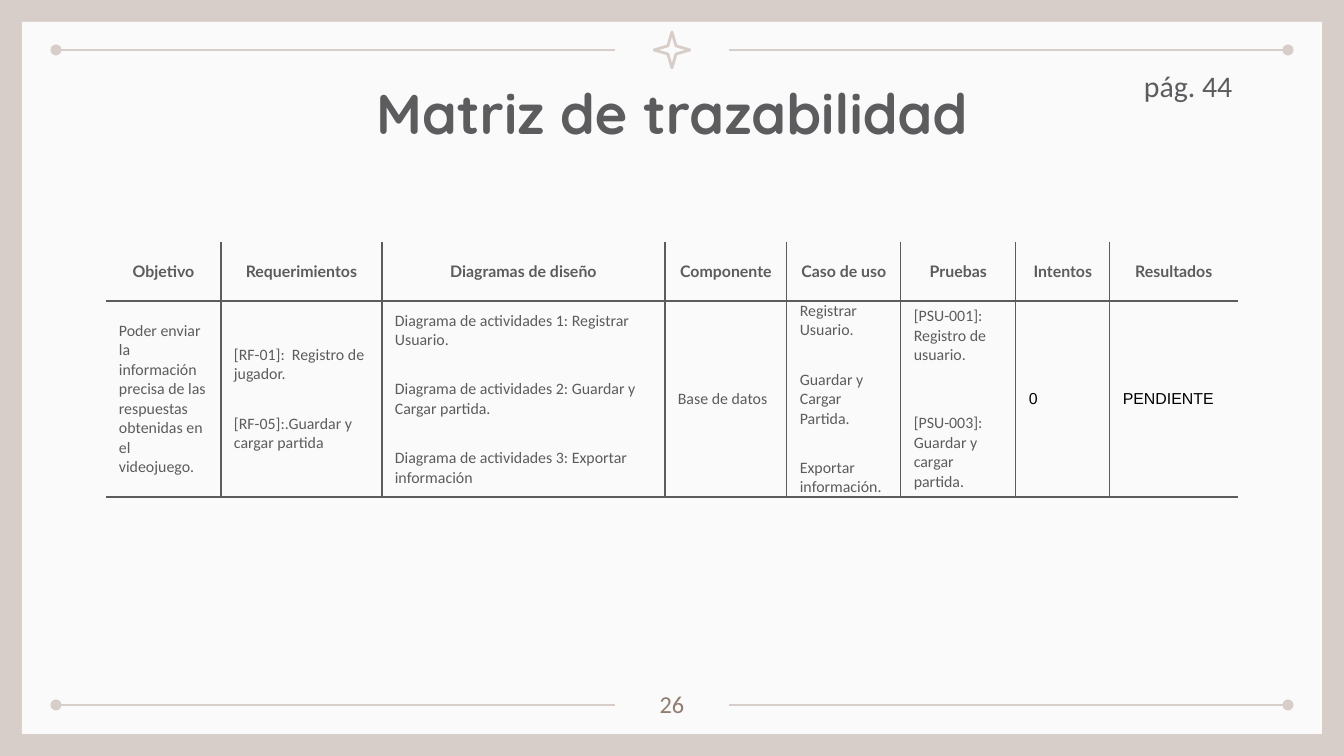
from lxml.etree import SubElement
from pptx import Presentation
from pptx.dml.color import RGBColor
from pptx.enum.shapes import MSO_CONNECTOR, MSO_SHAPE
from pptx.enum.text import MSO_ANCHOR, PP_ALIGN
from pptx.oxml.ns import qn
from pptx.util import Pt

SCALE = 9144000 / 1344
PANEL, FRAME, GREY, BROWN, BLACK = "FAFAFA", "D8CEC9", "5C5C5F", "927C71", "000000"

TITLE = dict(size=Pt(30), name="Quicksand", bold=True, color=GREY)
PAGE = dict(size=Pt(16), name="Calibri", bold=False, color=GREY)
NUMBER = dict(size=Pt(13), name="Calibri", bold=False, color=BROWN)
HEAD = dict(size=Pt(8.5), name="Lato", bold=True, color=GREY)
BODY = dict(size=Pt(8.5), name="Calibri", bold=False, color=GREY)
STATUS = dict(size=Pt(8.5), name="Arial", bold=False, color=BLACK)

# header, column width, cell paragraphs, format, gap between paragraphs in points
COLUMNS = [
    ("Objetivo", 115, ["Poder enviar la información precisa de las respuestas "
                       "obtenidas en el videojuego."], BODY, 16),
    ("Requerimientos", 161, ["[RF-01]:  Registro de jugador.",
                             "[RF-05]:.Guardar y cargar partida"], BODY, 16),
    ("Diagramas de diseño", 283, ["Diagrama de actividades 1: Registrar Usuario.",
                                  "Diagrama de actividades 2: Guardar y Cargar partida.",
                                  "Diagrama de actividades 3: Exportar información"], BODY, 16),
    ("Componente", 122, ["Base de datos"], BODY, 16),
    ("Caso de uso", 114, ["Registrar Usuario.", "Guardar y Cargar Partida.",
                          "Exportar información."], BODY, 16),
    ("Pruebas", 115, ["[PSU-001]: Registro de usuario.",
                      "[PSU-003]: Guardar y cargar partida."], BODY, 26),
    ("Intentos", 94, ["0"], STATUS, 16),
    ("Resultados", 128, ["PENDIENTE"], STATUS, 16),
]


def px(n):
    return round(n * SCALE)


def rgb(value):
    return RGBColor.from_string(value)


class Deck:
    def __init__(self, width, height):
        self.prs = Presentation()
        self.prs.slide_width, self.prs.slide_height = px(width), px(height)
        self.s = self.prs.slides.add_slide(self.prs.slide_layouts[5])
        fill = self.s.background.fill
        fill.solid()
        fill.fore_color.rgb = rgb(FRAME)

    def add_lines(self, tf, lines, fmt, align, gap=0):
        for i, line in enumerate(lines):
            p = tf.paragraphs[0] if i == 0 else tf.add_paragraph()
            p.alignment = align
            p.space_before = Pt(gap if i else 0)
            r = p.add_run()
            r.text = line
            for key, value in fmt.items():
                if key == "color":
                    r.font.color.rgb = rgb(value)
                else:
                    setattr(r.font, key, value)

    def fill_box(self, sp, box, text, fmt, align):
        sp.left, sp.top, sp.width, sp.height = map(px, box)
        tf = sp.text_frame
        tf.word_wrap = True
        tf.vertical_anchor = MSO_ANCHOR.TOP
        for side in ("left", "right", "top", "bottom"):
            setattr(tf, f"margin_{side}", px(13))
        self.add_lines(tf, [text], fmt, align)

    def title(self, box, text):
        sp = self.s.shapes.title
        self.s.shapes._spTree.append(sp._element)  # in front of the panel
        self.fill_box(sp, box, text, TITLE, PP_ALIGN.CENTER)

    def text(self, box, text, fmt, align):
        sp = self.s.shapes.add_textbox(*map(px, box))
        self.fill_box(sp, box, text, fmt, align)

    def shape(self, kind, box, fill=None, line=None):
        sp = self.s.shapes.add_shape(kind, *map(px, box))
        sp.shadow.inherit = False
        for part, color in ((sp.fill, fill), (sp.line.fill, line)):
            if color:
                part.solid()
                part.fore_color.rgb = rgb(color)
            else:
                part.background()
        if line:
            sp.line.width = Pt(1.5)
        return sp

    def rule(self, x1, x2, y, dot):
        """Horizontal line; dot names the end that carries the oval."""
        c = self.s.shapes.add_connector(MSO_CONNECTOR.STRAIGHT, px(x1), px(y), px(x2), px(y))
        c.line.color.rgb = rgb(FRAME)
        c.line.width = Pt(1.5)
        SubElement(c.line._get_or_add_ln(), qn(f"a:{dot}"), type="oval")
        SubElement(c._element.spPr, qn("a:effectLst"))

    def borders(self, cell, sides):
        """Draw the named sides (L, R, T, B) and clear the others."""
        tc_pr = cell._tc.get_or_add_tcPr()
        for i, side in enumerate("LRTB"):
            ln = SubElement(tc_pr, qn(f"a:ln{side}"), w=str(Pt(0.75)))
            tc_pr.insert(i, ln)
            if side in sides:
                SubElement(SubElement(ln, qn("a:solidFill")), qn("a:srgbClr"), val=GREY)
            else:
                SubElement(ln, qn("a:noFill"))

    def table(self, left, top, heights, columns):
        width = sum(column[1] for column in columns)
        frame = self.s.shapes.add_table(len(heights), len(columns), px(left), px(top),
                                        px(width), px(sum(heights)))
        table = frame.table
        table.first_row = table.horz_banding = False
        for row, height in zip(table.rows, heights):
            row.height = px(height)
        for i, (header, width, lines, fmt, gap) in enumerate(columns):
            table.columns[i].width = px(width)
            inner = ("L" if i else "") + ("R" if i < len(columns) - 1 else "")
            rows = [([header], HEAD, PP_ALIGN.CENTER, inner + "B"),
                    (lines, fmt, PP_ALIGN.LEFT, inner + "TB")]
            for j, (content, style, align, sides) in enumerate(rows):
                cell = table.cell(j, i)
                cell.fill.background()
                cell.vertical_anchor = MSO_ANCHOR.MIDDLE
                cell.margin_left = cell.margin_right = px(13)
                cell.margin_top = cell.margin_bottom = 0
                self.borders(cell, sides)
                self.add_lines(cell.text_frame, content, style, align, gap)


def main():
    deck = Deck(1344, 756)
    deck.shape(MSO_SHAPE.RECTANGLE, (22, 22, 1300, 712), fill=PANEL)
    for y in (50, 705):
        deck.rule(56, 615, y, "headEnd")
        deck.rule(729, 1288, y, "tailEnd")
    star = deck.shape(MSO_SHAPE.STAR_4_POINT, (654, 32, 36, 36), line=FRAME)
    star.adjustments[0] = 0.16
    deck.title((106, 66, 1132, 85), "Matriz de trazabilidad")
    deck.table(106, 242, (59, 196), COLUMNS)
    deck.text((632, 676, 80, 48), "26", NUMBER, PP_ALIGN.CENTER)
    deck.text((1131, 55, 153, 60), "pág. 44", PAGE, PP_ALIGN.LEFT)
    deck.prs.save("out.pptx")


if __name__ == "__main__":
    main()
